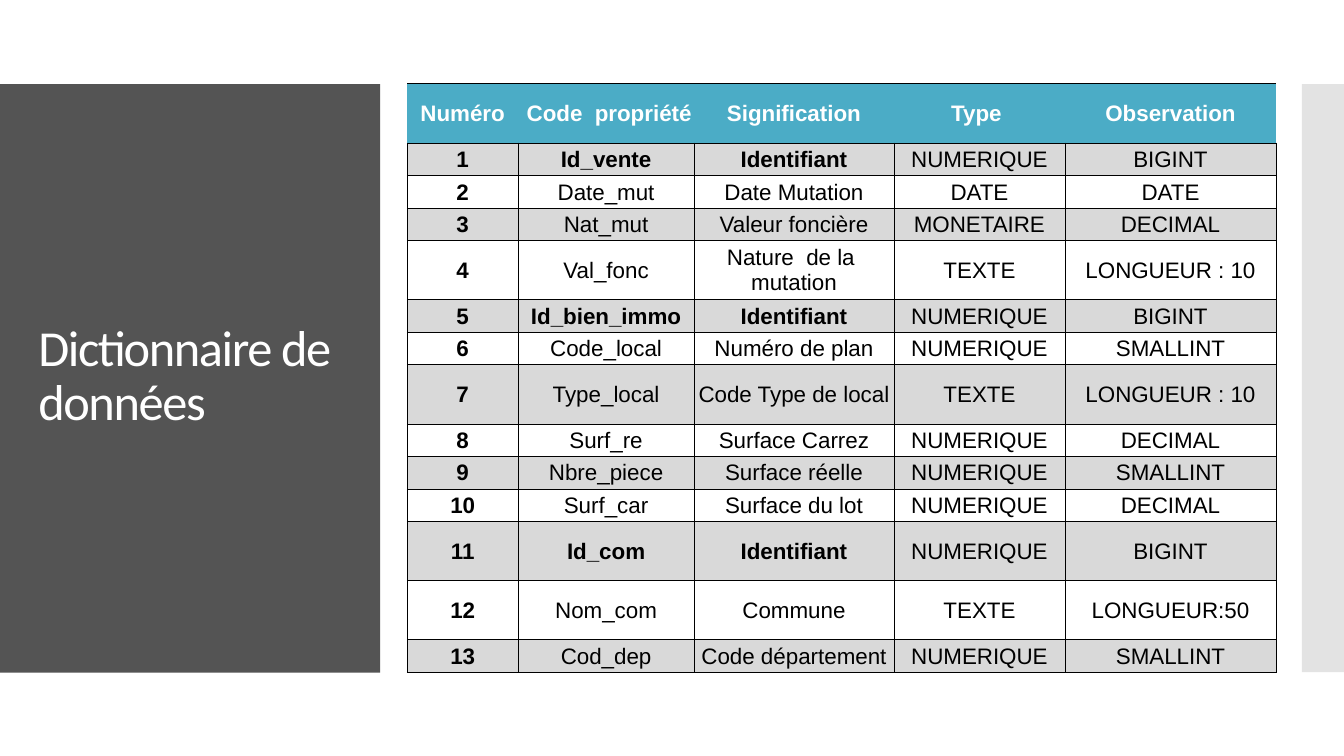
from typing import NamedTuple

from lxml.etree import SubElement
from pptx import Presentation
from pptx.dml.color import RGBColor
from pptx.enum.shapes import MSO_SHAPE
from pptx.enum.text import MSO_ANCHOR, MSO_AUTO_SIZE, PP_ALIGN
from pptx.oxml.ns import qn
from pptx.util import Cm, Pt

BLACK, WHITE = "000000", "FFFFFF"
DARK_GREY, PALE_GREY, BAND_GREY = "545454", "C8C8C8", "D9D9D9"
HEADER_BLUE = "4BACC6"

COLUMN_WIDTHS = (2.8, 4.43, 5.04, 4.31, 5.32)
TALL_ROW, SHORT_ROW = 1.49, 0.82
HEADINGS = ("Numéro", " Code  propriété", " Signiﬁcation ", "Type ", "Observation")


class Panel(NamedTuple):
    left: float
    top: float
    width: float
    height: float
    fill: str
    opacity: int = 100


class Field(NamedTuple):
    code: str
    meaning: str
    kind: str
    remark: str
    tall: bool = False


TITLE_PANEL = Panel(0, 2.12, 9.58, 14.83, DARK_GREY)
EDGE_PANEL = Panel(32.81, 2.12, 1.06, 14.82, PALE_GREY, 50)

FIELDS = (
    Field("Id_vente", "Identifiant", "NUMERIQUE", "BIGINT"),
    Field("Date_mut", "Date Mutation", "DATE", "DATE"),
    Field("Nat_mut", "Valeur foncière", "MONETAIRE", "DECIMAL"),
    Field("Val_fonc", "Nature  de la  mutation", "TEXTE", "LONGUEUR : 10", True),
    Field("Id_bien_immo", "Identifiant", "NUMERIQUE", "BIGINT"),
    Field("Code_local", "Numéro de plan", "NUMERIQUE", "SMALLINT"),
    Field("Type_local", "Code Type de local", "TEXTE", "LONGUEUR : 10", True),
    Field("Surf_re", "Surface Carrez", "NUMERIQUE", "DECIMAL"),
    Field("Nbre_piece", "Surface réelle", "NUMERIQUE", "SMALLINT"),
    Field("Surf_car", "Surface du lot", "NUMERIQUE", "DECIMAL"),
    Field("Id_com", "Identifiant", "NUMERIQUE", "BIGINT", True),
    Field("Nom_com", "Commune", "TEXTE", "LONGUEUR:50", True),
    Field("Cod_dep", "Code département", "NUMERIQUE", "SMALLINT"),
)


def paint(fill, colour: str) -> None:
    fill.solid()
    fill.fore_color.rgb = RGBColor.from_string(colour)


def write(frame, text: str, *, font: str, size: float, colour: str,
          bold: bool = False, align=PP_ALIGN.CENTER, line_spacing: float = 1.0):
    paragraph = frame.paragraphs[0]
    paragraph.alignment = align
    paragraph.line_spacing = line_spacing
    run = paragraph.add_run()
    run.text = text
    run.font.name = font
    run.font.size = Pt(size)
    run.font.bold = bold
    run.font.color.rgb = RGBColor.from_string(colour)
    return run


def draw_panel(slide, panel: Panel):
    rectangle = slide.shapes.add_shape(
        MSO_SHAPE.RECTANGLE, Cm(panel.left), Cm(panel.top), Cm(panel.width), Cm(panel.height))
    rectangle.shadow.inherit = False
    rectangle.line.fill.background()
    paint(rectangle.fill, panel.fill)
    if panel.opacity < 100:
        colour = rectangle.element.spPr.find(qn("a:solidFill"))[0]
        SubElement(colour, qn("a:alpha"), val=str(panel.opacity * 1000))
    return rectangle


def set_borders(cell, **widths: float) -> None:
    """Draw the sides named L, R, T and B in points; a side left out has no line."""
    properties = cell._tc.get_or_add_tcPr()
    for side in "LRTB":
        width = widths.get(side, 0)
        line = SubElement(properties, qn(f"a:ln{side}"), w=str(Pt(width)))
        if width:
            solid = SubElement(line, qn("a:solidFill"))
            SubElement(solid, qn("a:srgbClr"), val=BLACK)
        else:
            SubElement(line, qn("a:noFill"))


def fill_cell(cell, text: str, *, fill: str, colour: str, bold: bool,
              borders: dict[str, float]) -> None:
    set_borders(cell, **borders)
    paint(cell.fill, fill)
    cell.vertical_anchor = MSO_ANCHOR.MIDDLE
    cell.margin_left = cell.margin_right = cell.margin_top = Cm(0.03)
    cell.margin_bottom = 0
    write(cell.text_frame, text, font="Arial", size=16, colour=colour, bold=bold)


def draw_title(slide) -> None:
    title = slide.shapes.title
    title.left, title.top, title.width, title.height = Cm(0.71), Cm(3.12), Cm(8.18), Cm(12.78)
    frame = title.text_frame
    frame.word_wrap = True
    frame.auto_size = MSO_AUTO_SIZE.NONE
    frame.vertical_anchor = MSO_ANCHOR.MIDDLE
    run = write(frame, "Dictionnaire de données", font="Calibri", size=36, colour=WHITE,
                align=PP_ALIGN.LEFT, line_spacing=0.9)
    run.font._element.set("spc", "-100")


def draw_dictionary(slide) -> None:
    heights = [TALL_ROW] + [TALL_ROW if field.tall else SHORT_ROW for field in FIELDS]
    table = slide.shapes.add_table(
        len(heights), len(COLUMN_WIDTHS), Cm(10.26), Cm(2.11),
        Cm(sum(COLUMN_WIDTHS)), Cm(sum(heights))).table
    for column, width in zip(table.columns, COLUMN_WIDTHS):
        column.width = Cm(width)
    for row, height in zip(table.rows, heights):
        row.height = Cm(height)

    # Header row
    for cell, heading in zip(table.rows[0].cells, HEADINGS):
        fill_cell(cell, heading, fill=HEADER_BLUE, colour=WHITE, bold=True,
                  borders={"T": 1, "B": 0.5})

    # One numbered row per field, identifiers in bold
    for number, field in enumerate(FIELDS, start=1):
        texts = (str(number), field.code, field.meaning, field.kind, field.remark)
        bold_columns = 3 if field.meaning == "Identifiant" else 1
        for index, text in enumerate(texts):
            fill_cell(table.cell(number, index), text,
                      fill=BAND_GREY if number % 2 else WHITE, colour=BLACK,
                      bold=index < bold_columns, borders=dict.fromkeys("LRTB", 0.5))


def main() -> None:
    presentation = Presentation()
    presentation.slide_width, presentation.slide_height = Cm(33.87), Cm(19.05)
    slide = presentation.slides.add_slide(presentation.slide_layouts[5])

    # Side panels, kept behind the title
    for panel in (EDGE_PANEL, TITLE_PANEL):
        slide.shapes.title.element.addprevious(draw_panel(slide, panel).element)

    draw_title(slide)
    draw_dictionary(slide)
    presentation.save("out.pptx")


if __name__ == "__main__":
    main()
